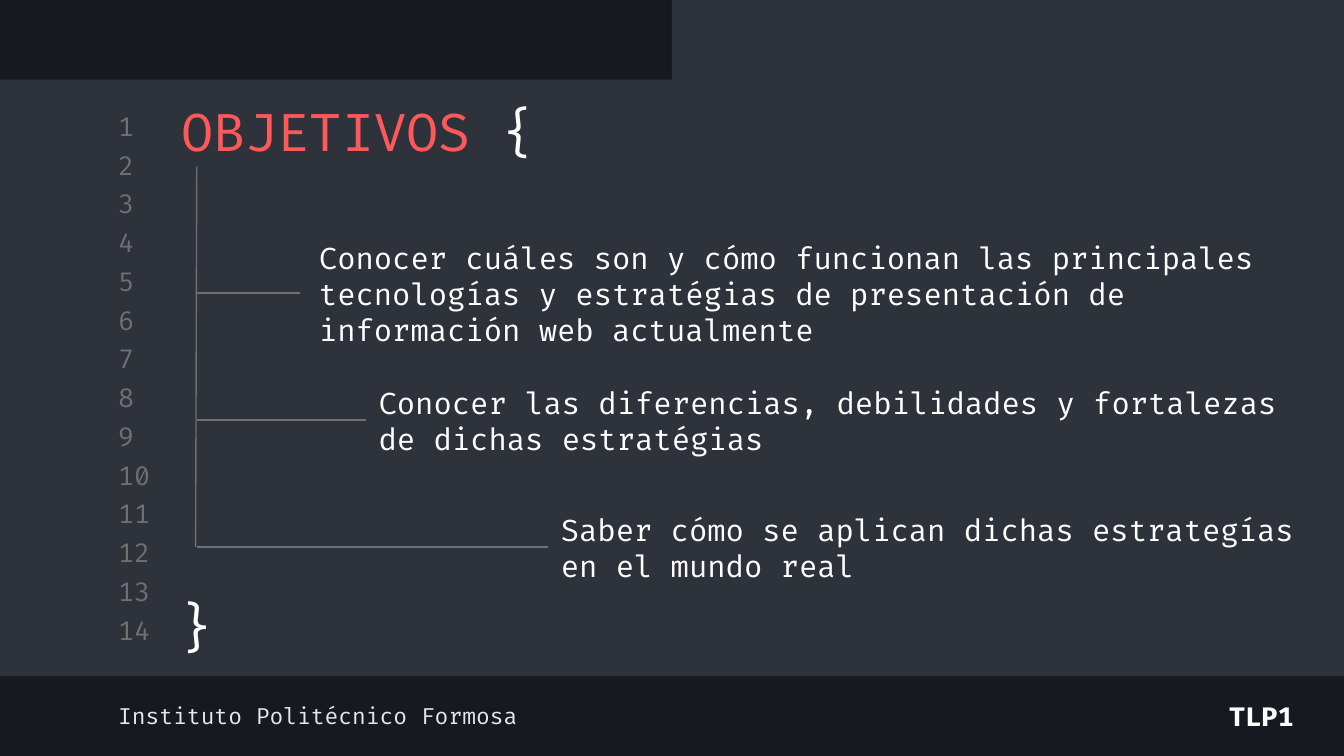
from pptx import Presentation
from pptx.dml.color import RGBColor
from pptx.enum.shapes import MSO_CONNECTOR, MSO_SHAPE
from pptx.enum.text import MSO_ANCHOR, MSO_AUTO_SIZE, PP_ALIGN
from pptx.oxml.ns import qn
from pptx.util import Pt
from lxml import etree

FONT = "Fira Code"
HUES = {
    "dark": "16191F",
    "panel": "2E323B",
    "gray": "707070",
    "red": "FF5858",
    "white": "FFFFFF",
    "pale": "E7E7E7",
}


def write(shape, box, text, size, hue, align=PP_ALIGN.LEFT, anchor=MSO_ANCHOR.MIDDLE):
    """Place a text shape and format its single paragraph."""
    shape.left, shape.top, shape.width, shape.height = [Pt(n) for n in box]
    frame = shape.text_frame
    frame.word_wrap = True
    frame.auto_size = MSO_AUTO_SIZE.NONE
    frame.vertical_anchor = anchor
    frame.margin_left = frame.margin_right = Pt(7.2)
    frame.margin_top = frame.margin_bottom = Pt(7.2)
    para = frame.paragraphs[0]
    para.text = text
    para.alignment = align
    para.font.name = FONT
    para.font.size = Pt(size)
    para.font.color.rgb = RGBColor.from_string(HUES[hue])
    return para


def rule(x1, y1, x2, y2):
    """Draw a thin gray line without a shadow."""
    line = slide.shapes.add_connector(
        MSO_CONNECTOR.STRAIGHT, Pt(x1), Pt(y1), Pt(x2), Pt(y2))
    line.line.color.rgb = RGBColor.from_string(HUES["gray"])
    line.line.width = Pt(0.75)
    props = line._element.find(qn("p:spPr"))
    etree.SubElement(props, qn("a:effectLst"))


deck = Presentation()
deck.slide_width, deck.slide_height = Pt(720), Pt(405)
slide = deck.slides.add_slide(deck.slide_layouts[5])
shapes = slide.shapes

# Background and editor panels
slide.background.fill.solid()
slide.background.fill.fore_color.rgb = RGBColor.from_string(HUES["dark"])
for box in [(0, 42.6, 720, 319.6), (360, 0, 360, 46.8)]:
    panel = shapes.add_shape(MSO_SHAPE.RECTANGLE, *[Pt(n) for n in box])
    panel.shadow.inherit = False
    panel.fill.solid()
    panel.fill.fore_color.rgb = RGBColor.from_string(HUES["panel"])
    panel.line.fill.background()

# Line numbers
for i in range(14):
    label = shapes.add_textbox(0, 0, 0, 0)
    write(label, (56.2, 58.8 + 20.76 * i, 34, 17.3), str(i + 1), 14, "gray")

# Title, moved in front of the panels, and closing brace
title = shapes.title
shapes._spTree.append(title._element)
para = write(title, (90, 46.2, 574, 42.5), "OBJETIVOS ", 28, "red",
             anchor=MSO_ANCHOR.TOP)
brace = para.add_run()
brace.text = "{"
brace.font.color.rgb = RGBColor.from_string(HUES["white"])
write(shapes.add_textbox(0, 0, 0, 0), (85.7, 311, 39.6, 48.2), "}", 28, "white",
      PP_ALIGN.CENTER, MSO_ANCHOR.TOP)

# Objectives, each on a branch of the tree: text, left, width, branch end
goals = [
    ("Conocer cuáles son y cómo funcionan las principales tecnologías y "
     "estratégias de presentación de información web actualmente",
     163.8, 556, 160.6),
    ("Conocer las diferencias, debilidades y fortalezas de dichas estratégias",
     195.8, 523, 196.3),
    ("Saber cómo se aplican dichas estrategías en el mundo real",
     293.4, 424, 293.8),
]
rule(105.4, 89.3, 104.8, 293)
for i, (text, left, width, end) in enumerate(goals):
    mid = 157 + 68 * i
    rule(105.6, mid, end, mid)
    write(shapes.add_textbox(0, 0, 0, 0), (left, mid - 22.7, width, 46),
          text, 16, "white")

# Footer
write(shapes.add_textbox(0, 0, 0, 0), (56.2, 369.6, 245, 28),
      "Instituto Politécnico Formosa", 12, "pale")
code = write(shapes.add_textbox(0, 0, 0, 0), (639.4, 369.6, 72.7, 28),
             "TLP1", 14, "white", PP_ALIGN.CENTER)
code.font.bold = True

deck.save("out.pptx")
